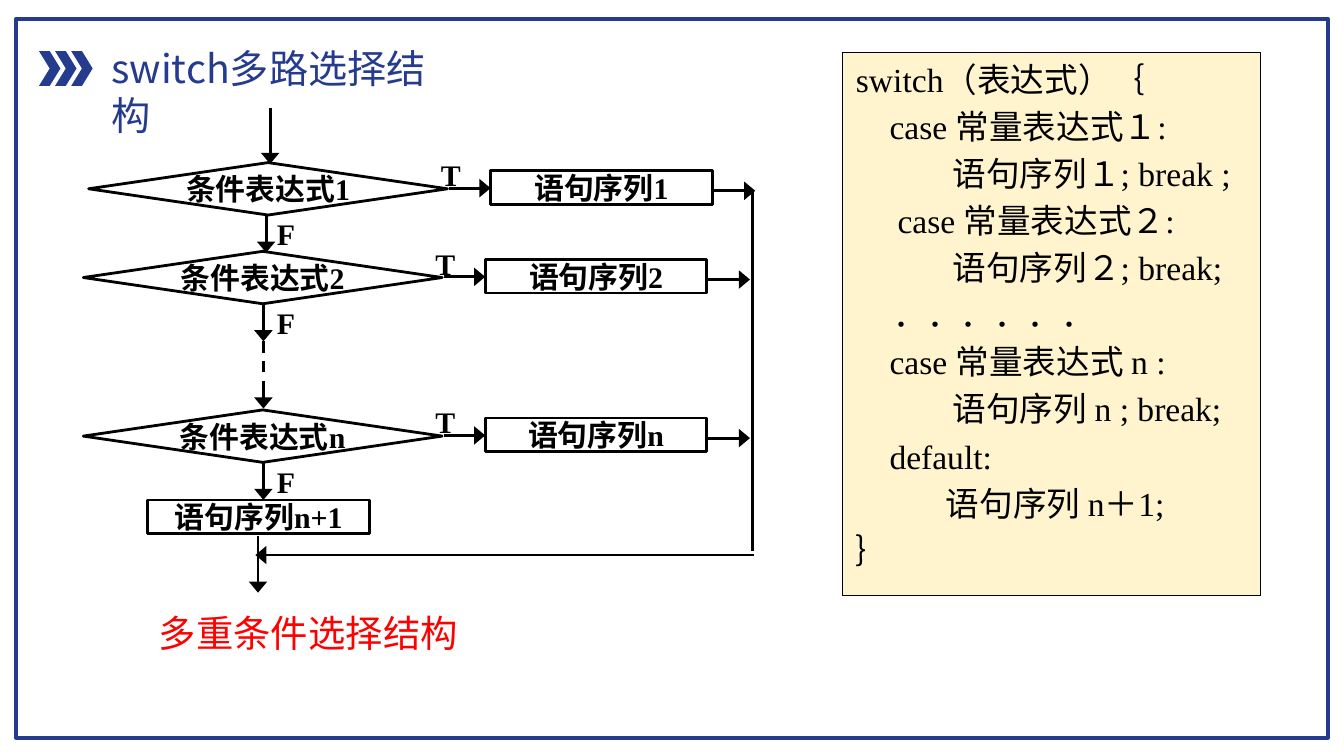
from pptx import Presentation
from pptx.dml.color import RGBColor
from pptx.enum.dml import MSO_LINE
from pptx.enum.shapes import MSO_CONNECTOR, MSO_SHAPE
from pptx.enum.text import MSO_ANCHOR, PP_ALIGN
from pptx.oxml.ns import qn
from pptx.util import Pt
from lxml.etree import SubElement

PX = 9144  # 100 px to the inch
THEME = {
    "navy": RGBColor(0x25, 0x3C, 0x8E), "red": RGBColor(255, 0, 0),
    "black": RGBColor(0, 0, 0), "white": RGBColor(255, 255, 255),
    "cream": RGBColor(0xFF, 0xF4, 0xCE),
    "sans": "Noto Sans CJK SC", "serif": "Times New Roman",
    "title": 21, "caption": 20, "code": 18, "node": 16,
}

TITLE = "switch多路选择结构"
CAPTION = "多重条件选择结构"
ROWS = [("1", 66, 121), ("2", 62, 187), ("n", 62, 305)]  # mark, left, top
CODE = [  # indent, text
    (0, "switch（表达式）｛"),
    (25, "case 常量表达式１:"),
    (72, "语句序列１; break ;"),
    (31, "case 常量表达式２:"),
    (72, "语句序列２; break;"),
    (28, "．．．．．．"),
    (25, "case 常量表达式 n :"),
    (72, "语句序列 n ; break;"),
    (25, "default:"),
    (67, "语句序列 n＋1;"),
    (0, "｝"),
]
LINKS = [  # from x, y, to x, y, format
    (560, 143, 560, 410, {"head": False}),
    (192, 399, 192, 441, {}),
    (201, 80, 201, 122, {}),
    (196, 254, 196, 285, {"head": False, "dash": True}),
    (196, 284, 196, 304, {}),
    (561, 413, 190, 413, {}),
]

deck = Presentation()
deck.slide_width = 1000 * PX
deck.slide_height = deck.slide_width * 9 // 16
slide = deck.slides.add_slide(deck.slide_layouts[6])


def write(shape, lines, size, color="black", font="serif", bold=False,
          align=PP_ALIGN.CENTER, anchor=MSO_ANCHOR.MIDDLE, wrap=False,
          inset=(0, 0), pitch=None):
    """Fill a shape with (indent, text) lines."""
    frame = shape.text_frame
    left, top = (n * PX for n in inset)
    form = {"word_wrap": wrap, "vertical_anchor": anchor, "margin_left": left,
            "margin_right": left, "margin_top": top, "margin_bottom": top}
    for key, value in form.items():
        setattr(frame, key, value)
    for i, (indent, text) in enumerate(lines):
        para = frame.add_paragraph() if i else frame.paragraphs[0]
        para.alignment = align
        if pitch:
            para.line_spacing = Pt(pitch)
        if indent:
            para._p.get_or_add_pPr().set("marL", str(indent * PX))
        run = para.add_run()
        run.text = text
        face = {"size": Pt(THEME[size]), "bold": bold, "name": THEME[font]}
        for key, value in face.items():
            setattr(run.font, key, value)
        run.font.color.rgb = THEME[color]
        SubElement(run.font._element, qn("a:ea"), typeface=THEME["sans"])


def shape(kind, x, y, w, h, fill=None, line=None, width=1.5):
    item = slide.shapes.add_shape(kind, x * PX, y * PX, w * PX, h * PX)
    item.shadow.inherit = False
    for part, color in ((item.fill, fill), (item.line.fill, line)):
        if color:
            part.solid()
            part.fore_color.rgb = THEME[color]
        else:
            part.background()
    if line:
        item.line.width = Pt(width)
    return item


def node(text, x, y, w, h, kind=MSO_SHAPE.RECTANGLE, line="black",
         align=PP_ALIGN.CENTER):
    item = shape(kind, x, y, w, h, "white", line)
    write(item, [(0, text)], "node", bold=True, align=align)


def link(x1, y1, x2, y2, head=True, dash=False):
    ends = (n * PX for n in (x1, y1, x2, y2))
    item = slide.shapes.add_connector(MSO_CONNECTOR.STRAIGHT, *ends)
    item.line.width = Pt(1.5)
    item.line.color.rgb = THEME["black"]
    if dash:
        item.line.dash_style = MSO_LINE.DASH
    if head:
        SubElement(item.line._get_or_add_ln(), qn("a:tailEnd"),
                   type="triangle", w="lg", len="med")
    SubElement(item._element.spPr, qn("a:effectLst"))


def label(x, y, w, h, text, size, **form):
    box = slide.shapes.add_textbox(x * PX, y * PX, w * PX, h * PX)
    write(box, [(0, text)], size, font="sans", wrap=True, **form)


# Frame and heading
shape(MSO_SHAPE.RECTANGLE, 12, 14, 976, 535, line="navy", width=2)
for i in range(3):
    shape(MSO_SHAPE.CHEVRON, 29 + 12 * i, 38, 16, 26, "navy")
label(73, 28, 278, 45, TITLE, "title", color="navy", align=PP_ALIGN.LEFT,
      anchor=MSO_ANCHOR.TOP, inset=(10, 5), pitch=25.2)
label(16, 457, 427, 28, CAPTION, "caption", color="red")

# Flow chart
for mark, x, y in ROWS:
    node("T", x + 262, y - 5, 26, 28, line=None, align=PP_ALIGN.LEFT)
    node("F", 206, y + 39, 26, 28, line=None, align=PP_ALIGN.LEFT)
    node("条件表达式" + mark, x, y, 267, 39, MSO_SHAPE.FLOWCHART_DECISION)
    node("语句序列" + mark, x + 299, y + 6, 165, 25)
    stem = 198 if mark == "1" else 196
    link(stem, y + 39, stem, y + 67)
    link(x + 268, y + 19, x + 299, y + 19)
    link(x + 464, y + 21, x + 496, y + 21)
node("语句序列n+1", 110, 372, 165, 25)
for *ends, form in LINKS:
    link(*ends, **form)

# Code panel
panel = shape(MSO_SHAPE.RECTANGLE, 627, 39, 311, 404, "cream", "black", 0.75)
write(panel, CODE, "code", align=PP_ALIGN.LEFT, anchor=MSO_ANCHOR.TOP,
      inset=(10, 0), pitch=25.2)

deck.save("out.pptx")
